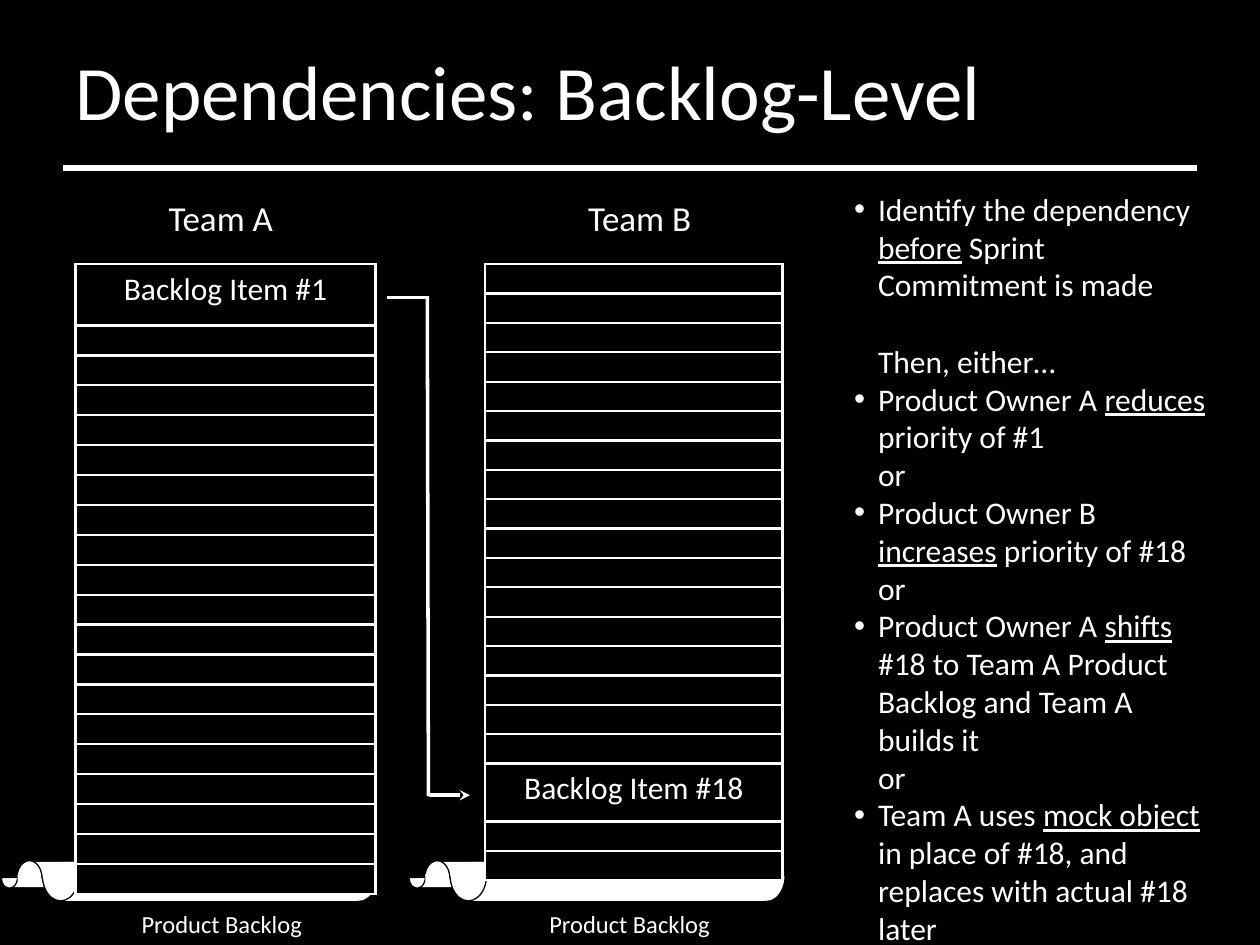
from dataclasses import dataclass

from lxml.etree import SubElement
from pptx import Presentation
from pptx.dml.color import RGBColor
from pptx.enum.shapes import MSO_CONNECTOR, MSO_SHAPE
from pptx.enum.text import MSO_ANCHOR, PP_ALIGN
from pptx.oxml.ns import qn
from pptx.util import Pt

COLORS = {"paper": "FFFFFF", "ink": "000000"}
FONT = "Calibri"
ROWS = 20
INDENT = 13.7


@dataclass(frozen=True)
class Part:
    left: float
    top: float
    width: float
    height: float
    chord: bool = False
    flip: bool = False


@dataclass(frozen=True)
class Backlog:
    team: str
    item: int
    left: float
    width: float
    row: float
    item_row: float
    team_left: float
    scroll_left: float


CURLS = [
    Part(24.2, 485.3, 20.9, 29.5, chord=True),
    Part(9.7, 491.8, 14.4, 20.2, chord=True, flip=True),
    Part(0.7, 494.6, 9.4, 13, chord=True),
]
PAPER = [
    Part(18, 492.5, 113, 9.4),
    Part(5, 501.1, 113, 5.8),
    Part(36, 492.5, 113, 18),
    Part(194.4, 485.3, 20.9, 29.5, chord=True),
    Part(44.6, 492.5, 113, 7.9),
]
PATCHES = [
    Part(24.5, 494.6, 9.4, 7.2),
    Part(31.5, 493.9, 13, 7.9),
    Part(10.1, 499.7, 6.5, 3.6),
    Part(17.1, 500.4, 6.5, 3.6),
    Part(13, 499, 6.5, 3.6),
]
BACKLOGS = [
    Backlog("Team A", 1, 43.2, 171.4, 17.1, 35, 89.3, 0),
    Backlog("Team B", 18, 277.2, 170, 16.8, 33.2, 329, 233),
]
ADVICE = [
    "Identify the dependency _before_ Sprint Commitment is made",
    "Then, either…",
    "Product Owner A _reduces_ priority of #1\nor",
    "Product Owner B _increases_ priority of #18\nor",
    "Product Owner A _shifts _#18 to Team A Product Backlog and Team A builds it\nor",
    "Team A uses _mock object_ in place of #18, and replaces with actual #18 later",
]


def color(name: str) -> RGBColor:
    return RGBColor.from_string(COLORS[name])


def write(p, text: str, size: float = 18, align=PP_ALIGN.LEFT) -> None:
    """Fill a paragraph, underlining what stands between underscores."""
    p.alignment = align
    for i, piece in enumerate(text.split("_")):
        for j, line in enumerate(piece.split("\n")):
            if j:
                p.add_line_break()
            if line:
                r = p.add_run()
                r.text = line
                r.font.name = FONT
                r.font.size = Pt(size)
                r.font.color.rgb = color("paper")
                if i % 2:
                    r.font.underline = True


def add_label(s, box: tuple, text: str, size: float, align=PP_ALIGN.LEFT) -> None:
    tf = s.shapes.add_textbox(*map(Pt, box)).text_frame
    tf.word_wrap = False
    write(tf.paragraphs[0], text, size=size, align=align)


def add_line(shapes, start: tuple, end: tuple, width: float, arrow: bool = False) -> None:
    cx = shapes.add_connector(MSO_CONNECTOR.STRAIGHT, *map(Pt, start + end))
    cx.line.color.rgb = color("paper")
    cx.line.width = Pt(width)
    if arrow:
        SubElement(cx.line._get_or_add_ln(), qn("a:tailEnd"), type="stealth")
    SubElement(cx._element.spPr, qn("a:effectLst"))


def add_part(shapes, part: Part, dx: float, outlined: bool = False) -> None:
    kind = MSO_SHAPE.CHORD if part.chord else MSO_SHAPE.RECTANGLE
    sp = shapes.add_shape(kind, Pt(part.left + dx), Pt(part.top), Pt(part.width), Pt(part.height))
    sp.shadow.inherit = False
    sp.fill.solid()
    sp.fill.fore_color.rgb = color("paper")
    if part.chord:
        sp.adjustments[0], sp.adjustments[1] = 1.593, 105.711
    if part.flip:
        sp._element.spPr.xfrm.set("flipV", "1")
    if outlined:
        sp.line.color.rgb = color("ink")
        sp.line.width = Pt(0.75)
    else:
        sp.line.fill.background()


def add_scroll(s, dx: float) -> None:
    shapes = s.shapes.add_group_shape().shapes
    bar = Part(34, 496.8, 170, 18)
    for parts, outlined in (([bar], False), (CURLS, False), (PAPER, False), (CURLS, True), (PATCHES, False)):
        for part in parts:
            add_part(shapes, part, dx, outlined)


def format_cell(cell) -> None:
    tc_pr = cell._tc.get_or_add_tcPr()
    for side in ("lnL", "lnR", "lnT", "lnB"):
        ln = SubElement(tc_pr, qn(f"a:{side}"), w=str(Pt(1.5)))
        fill = SubElement(ln, qn("a:solidFill"))
        SubElement(fill, qn("a:srgbClr"), val=COLORS["paper"])
    cell.fill.solid()
    cell.fill.fore_color.rgb = color("ink")


def add_backlog(s, b: Backlog) -> None:
    add_scroll(s, b.scroll_left)
    height = b.row * (ROWS - 1) + b.item_row
    frame = s.shapes.add_table(ROWS, 1, Pt(b.left), Pt(151), Pt(b.width), Pt(height))
    table = frame.table
    table.first_row = table.horz_banding = False
    for i, row in enumerate(table.rows, 1):
        cell = row.cells[0]
        format_cell(cell)
        p = cell.text_frame.paragraphs[0]
        if i == b.item:
            row.height = Pt(b.item_row)
            write(p, f"Backlog Item #{i}", align=PP_ALIGN.CENTER)
        else:
            row.height = Pt(b.row)
            cell.margin_top = cell.margin_bottom = 0
            SubElement(p._p, qn("a:endParaRPr"), sz="800")
    add_label(s, (b.team_left, 108.7, 75, 31.5), b.team, 20)
    add_label(s, (b.scroll_left + 72.8, 516.2, 108, 24.2), "Product Backlog", 14, PP_ALIGN.CENTER)


def add_advice(s) -> None:
    tf = s.shapes.add_textbox(Pt(481), Pt(105), Pt(219), Pt(443.5)).text_frame
    tf.word_wrap = True
    for i, text in enumerate(ADVICE):
        p = tf.add_paragraph() if i else tf.paragraphs[0]
        p_pr = p._p.get_or_add_pPr()
        p_pr.set("marL", str(Pt(INDENT)))
        if i == 1:
            p_pr.set("indent", "0")
            p.space_before = Pt(22)
        else:
            p_pr.set("indent", str(-Pt(INDENT)))
            SubElement(p_pr, qn("a:buFont"), typeface="Arial")
            SubElement(p_pr, qn("a:buChar"), char="•")
        write(p, text)


def main() -> None:
    prs = Presentation()
    prs.slide_width, prs.slide_height = Pt(720), Pt(540)
    s = prs.slides.add_slide(prs.slide_layouts[5])
    s.background.fill.solid()
    s.background.fill.fore_color.rgb = color("ink")

    title = s.shapes.title
    title.left, title.top, title.width, title.height = map(Pt, (36, 6, 648, 90))
    title.text_frame.vertical_anchor = MSO_ANCHOR.MIDDLE
    write(title.text_frame.paragraphs[0], "Dependencies: Backlog-Level", size=44)
    add_line(s.shapes, (36, 96), (684, 96), 3)

    for backlog in BACKLOGS:
        add_backlog(s, backlog)

    link = s.shapes.add_group_shape().shapes
    add_line(link, (221, 170), (245, 170), 2)
    add_line(link, (245, 454.4), (268.6, 454.4), 2, arrow=True)
    add_line(link, (244.2, 169.2), (244.8, 455), 2)
    add_advice(s)
    prs.save("out.pptx")


if __name__ == "__main__":
    main()
